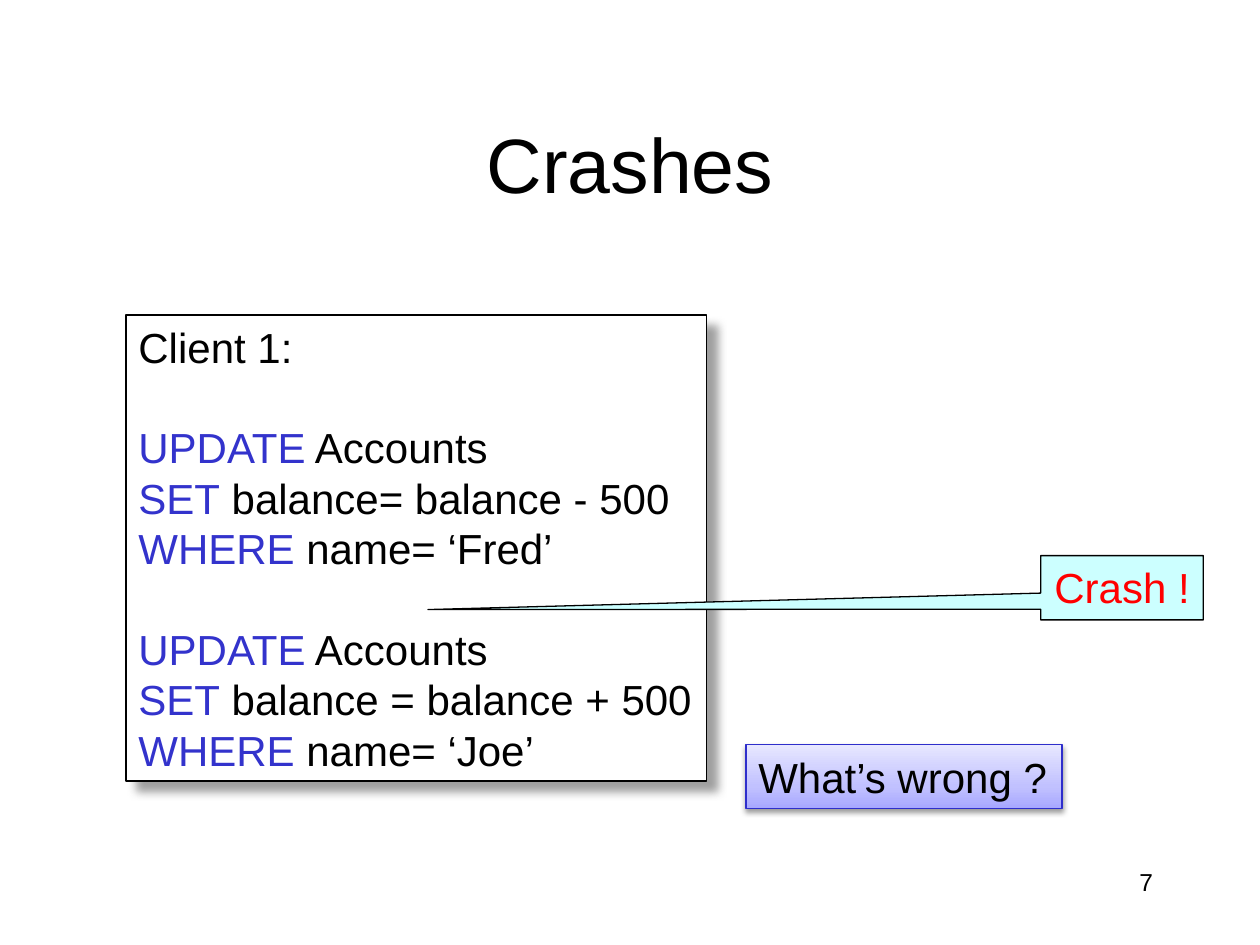
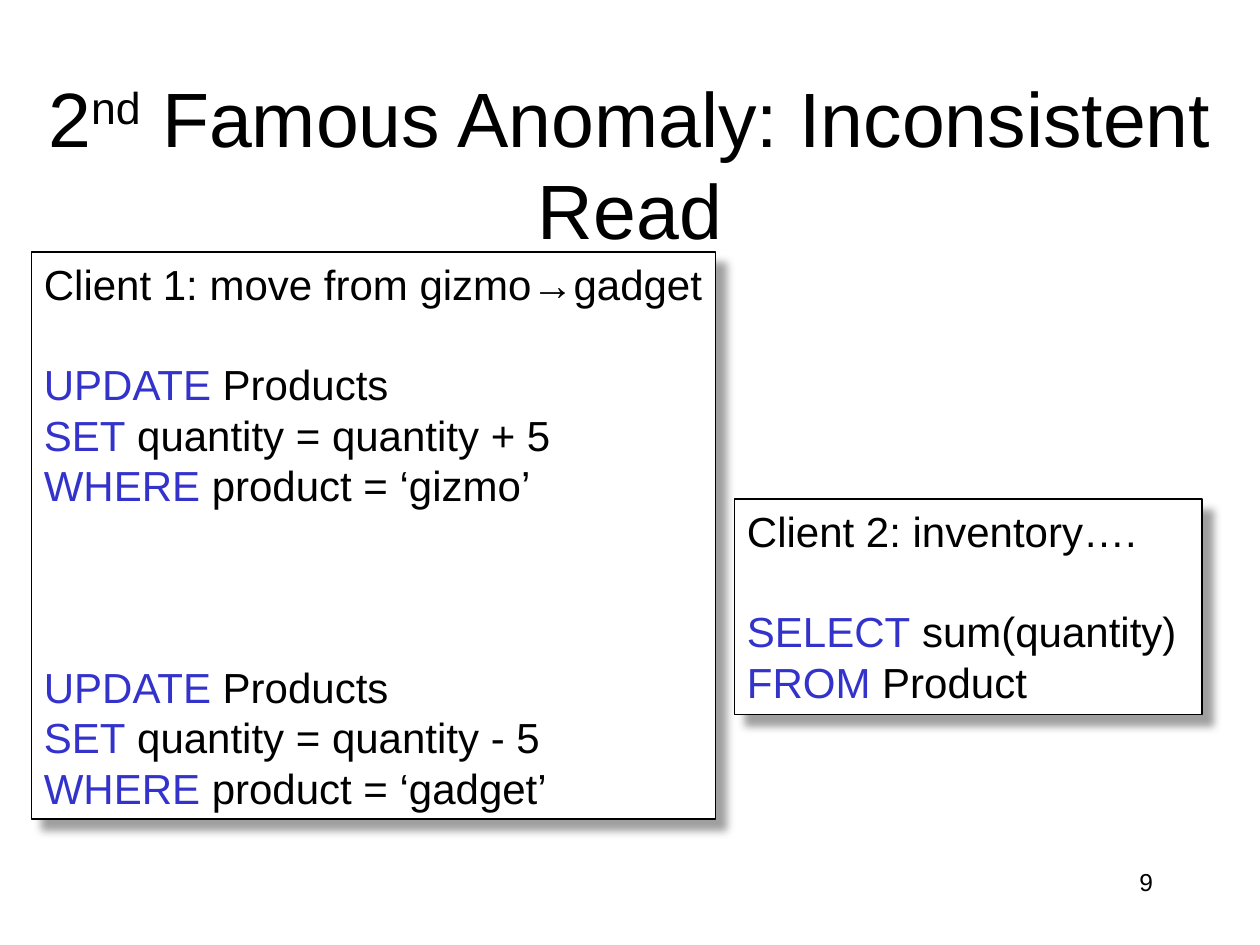
import copy
import lxml.etree
import pptx
import pptx.dml.color
import pptx.enum.shapes
import pptx.enum.text
import pptx.oxml.ns
import pptx.util

HUES = {"ink": "000000", "key": "3333CC", "page": "FFFFFF", "alarm": "FF0000",
        "cyan": "CCFFFF", "edge": "2E2ECB", "haze": "808080",
        "low": "A7A7FF", "mid": "C1C1FF", "top": "E7E7FF"}
COLS, ROWS = 40, 30
LEAD = 1.2
KEYS = ("UPDATE", "SET", "WHERE", "SELECT", "FROM")
ALIGN = pptx.enum.text.PP_ALIGN
ANCHOR = pptx.enum.text.MSO_ANCHOR
SHAPE = pptx.enum.shapes.MSO_SHAPE
qn = pptx.oxml.ns.qn


def hue(name):
    return pptx.dml.color.RGBColor.from_string(HUES[name])


class Deck:
    def __init__(self):
        self.show = pptx.Presentation()
        self.show.slide_width = pptx.util.Inches(10)
        self.show.slide_height = pptx.util.Inches(7.5)
        self.slide = None

    def place(self, col, row, wide, high):
        x, y = self.show.slide_width / COLS, self.show.slide_height / ROWS
        return [round(n) for n in (col * x, row * y, wide * x, high * y)]

    def start(self, number):
        self.slide = self.show.slides.add_slide(self.show.slide_layouts[6])
        frame = self.label((28.67, 27.33, 8.33, 2))
        self.typeset(frame.paragraphs[0], [str(number)], 14, ALIGN.RIGHT)

    def typeset(self, para, parts, size, align=ALIGN.LEFT, color="ink", gap=0):
        para.alignment = align
        para.line_spacing = pptx.util.Pt(size * LEAD)
        para.space_before = pptx.util.Pt(gap * size * LEAD)
        para.font.name = "Arial"
        para.font.size = pptx.util.Pt(size)
        para.font.color.rgb = hue(color)
        for part in parts:
            para.add_run().text = part
        return para.runs

    def label(self, area):
        frame = self.slide.shapes.add_textbox(*self.place(*area)).text_frame
        frame.word_wrap = True
        return frame

    def title(self, parts, col=3):
        frame = self.label((col, 2.67, COLS - 2 * col, 5))
        frame.vertical_anchor = ANCHOR.MIDDLE
        runs = self.typeset(frame.paragraphs[0], parts, 44, ALIGN.CENTER)
        for run in runs[1::2]:
            run.font._element.set("baseline", "30000")

    def box(self, area, fill="page", line="ink", kind=SHAPE.RECTANGLE):
        shape = self.slide.shapes.add_shape(kind, *self.place(*area))
        shape.shadow.inherit = False
        shape.fill.solid()
        shape.fill.fore_color.rgb = hue(fill)
        shape.line.color.rgb = hue(line)
        shape.line.width = pptx.util.Pt(0.75)
        frame = shape.text_frame
        frame.word_wrap = False
        frame.auto_size = pptx.enum.text.MSO_AUTO_SIZE.SHAPE_TO_FIT_TEXT
        frame.vertical_anchor = ANCHOR.TOP
        return shape

    def shade(self, shape, color, alpha, blur, dist, angle):
        effect = shape._element.spPr.find(qn("a:effectLst"))
        outer = lxml.etree.SubElement(
            effect, qn("a:outerShdw"), blurRad=str(pptx.util.Pt(blur)),
            dist=str(pptx.util.Pt(dist)), dir=str(angle * 60000),
            algn="ctr", rotWithShape="0")
        tint = lxml.etree.SubElement(outer, qn("a:srgbClr"), val=HUES[color])
        lxml.etree.SubElement(tint, qn("a:alpha"), val=str(alpha * 1000))

    def code(self, area, blocks):
        shape = self.box(area)
        self.shade(shape, "haze", 75, 5, 8.5, 45)
        frame = shape.text_frame
        para = frame.paragraphs[0]
        for gap, lines in blocks:
            for index, line in enumerate(lines):
                if gap or index:
                    para = frame.add_paragraph()
                word, space, rest = line.partition(" ")
                parts = [word, space + rest] if word in KEYS else [line]
                runs = self.typeset(para, parts, 24, gap=0 if index else gap)
                if word in KEYS:
                    runs[0].font.color.rgb = hue("key")

    def ask(self, text, area):
        shape = self.box(area, line="edge")
        self.shade(shape, "ink", 38, 3.1, 1.6, 90)
        shape.fill.gradient()
        shape.fill.gradient_angle = 90
        stops = shape._element.spPr.find(".//" + qn("a:gsLst"))
        stops.append(copy.deepcopy(stops[-1]))
        marks = ("low", 0), ("mid", 0.35), ("top", 1)
        for stop, (color, spot) in zip(shape.fill.gradient_stops, marks):
            stop.color.rgb = hue(color)
            stop.position = spot
        shape.text_frame.vertical_anchor = ANCHOR.MIDDLE
        self.typeset(shape.text_frame.paragraphs[0], [text], 24)

    def callout(self, text, area, tip):
        shape = self.box(area, "cyan", kind=SHAPE.RECTANGULAR_CALLOUT)
        shape.adjustments[0], shape.adjustments[1] = tip
        self.typeset(shape.text_frame.paragraphs[0], [text], 24, ALIGN.CENTER, "alarm")


def update(table, change, test):
    return ["UPDATE " + table, "SET " + change, "WHERE " + test]


def main():
    deck = Deck()

    deck.start(7)
    deck.title(["Crashes"])
    deck.ask("What’s wrong ?", (23.68, 23.64, 10.04, 2.04))
    deck.code((4, 10, 18.44, 14.8), [
        (0, ["Client 1:"]),
        (1, update("Accounts", "balance= balance - 500", "name= ‘Fred’")),
        (1, update("Accounts", "balance = balance + 500", "name= ‘Joe’"))])
    deck.callout("Crash !", (33.04, 17.64, 5.16, 2.04), (-4.27, 0.34))

    deck.start(9)
    deck.title(["2", "nd", " Famous Anomaly: Inconsistent Read"], 0)
    deck.code((1, 8, 21.72, 18), [
        (0, ["Client 1: move from gizmo→gadget"]),
        (1, update("Products", "quantity = quantity + 5", "product = ‘gizmo’")),
        (3, update("Products", "quantity = quantity - 5", "product = ‘gadget’"))])
    deck.code((23.32, 15.84, 14.84, 6.84), [
        (0, ["Client 2: inventory…."]),
        (1, ["SELECT sum(quantity)", "FROM Product"])])

    deck.show.save("out.pptx")


if __name__ == "__main__":
    main()
